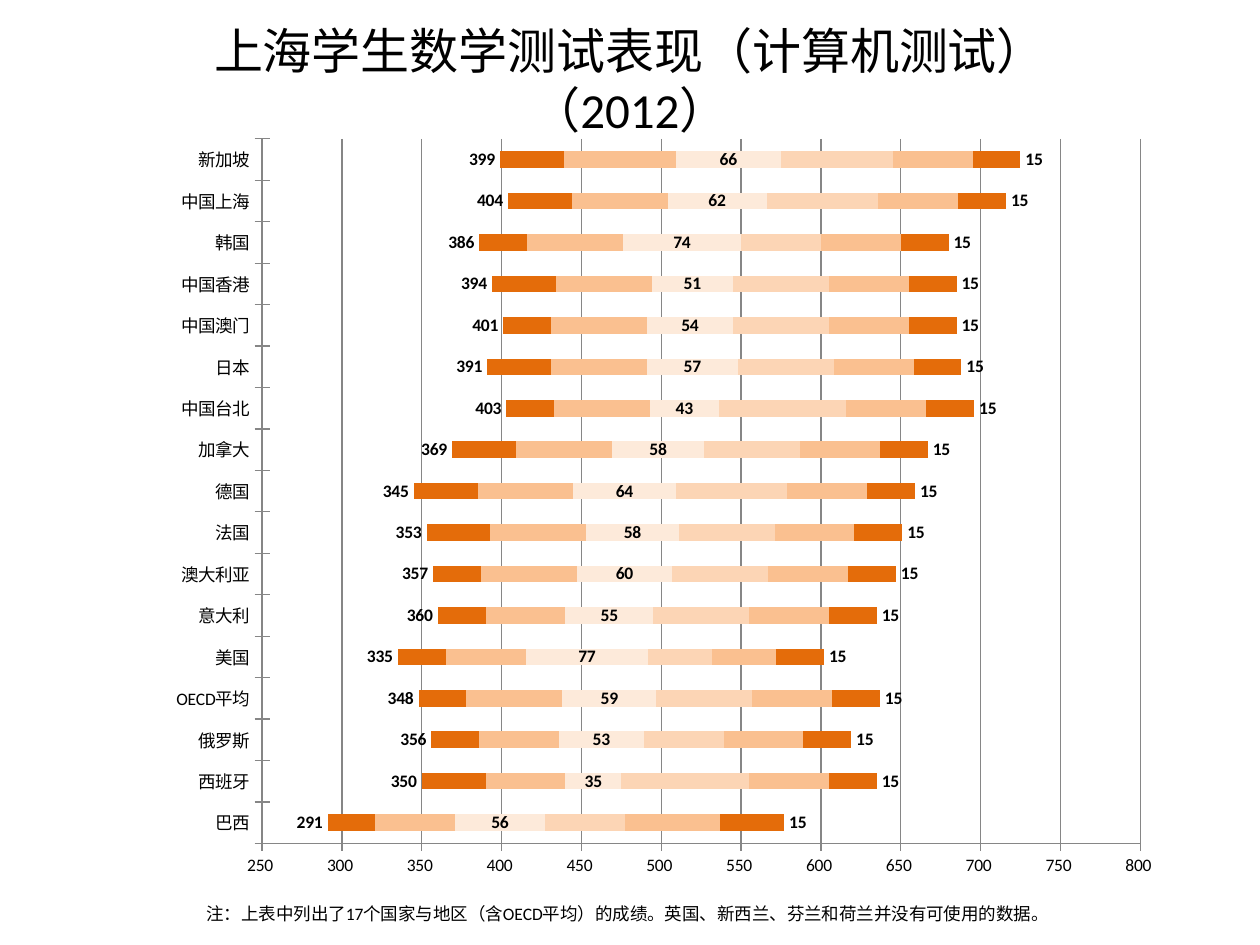
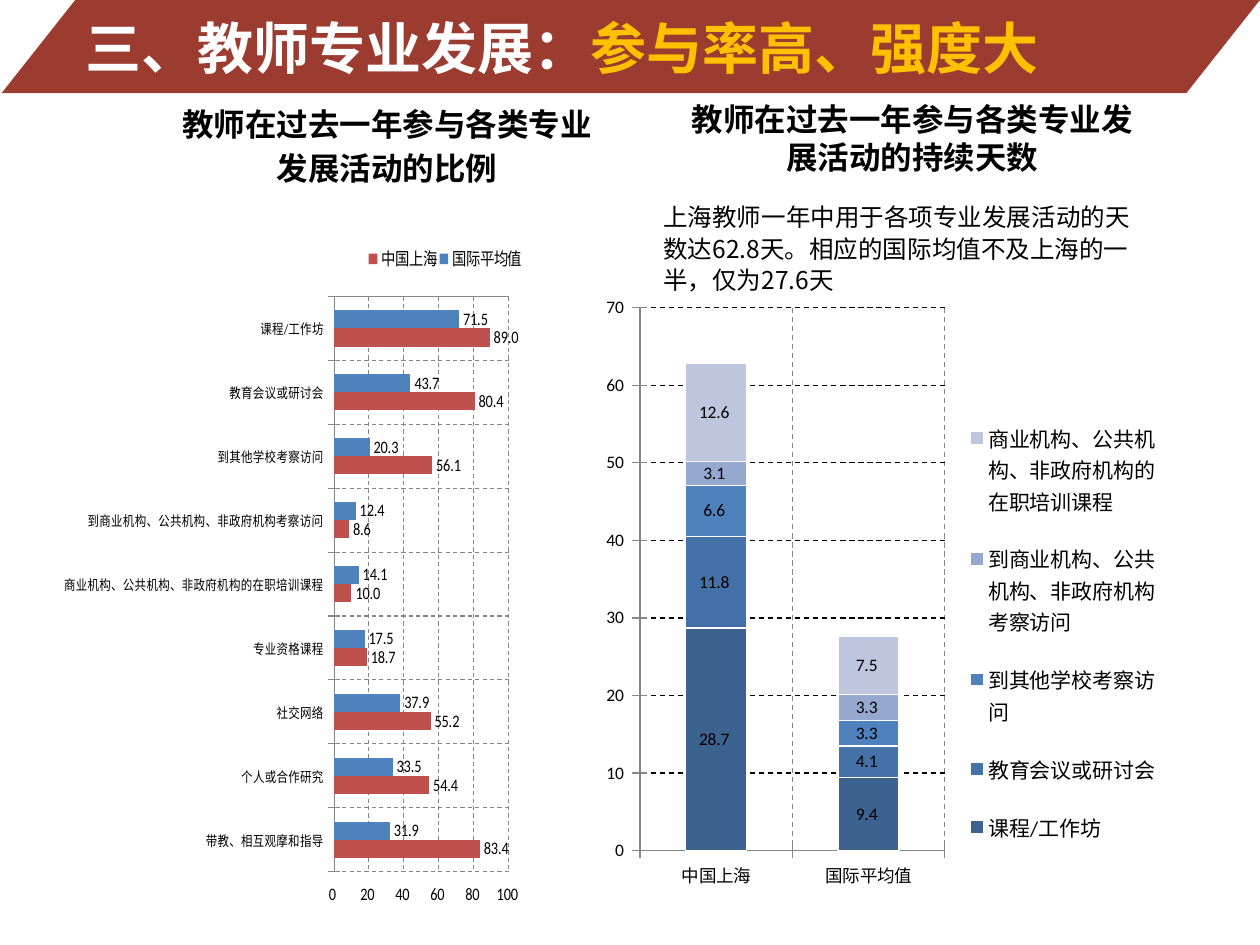
from dataclasses import dataclass
from typing import Optional

from lxml.etree import SubElement
from pptx import Presentation
from pptx.chart.data import CategoryChartData
from pptx.dml.color import RGBColor
from pptx.enum.chart import (XL_CHART_TYPE, XL_LABEL_POSITION, XL_LEGEND_POSITION,
                             XL_TICK_LABEL_POSITION, XL_TICK_MARK)
from pptx.enum.dml import MSO_LINE
from pptx.enum.shapes import MSO_SHAPE
from pptx.enum.text import MSO_ANCHOR, PP_ALIGN
from pptx.oxml.ns import qn
from pptx.util import Emu, Pt

PX_PER_INCH = 126
LATIN = "Calibri"
HAN = "Noto Sans CJK SC"

BLACK = RGBColor(0, 0, 0)
WHITE = RGBColor(255, 255, 255)
GREY = RGBColor(0x86, 0x86, 0x86)
BRICK = RGBColor(0x9C, 0x3B, 0x2F)
GOLD = RGBColor(0xFF, 0xC0, 0x00)
BLUE = RGBColor(0x4F, 0x81, 0xBD)
RED = RGBColor(0xC0, 0x50, 0x4D)
ORANGE = RGBColor(0xE4, 0x6C, 0x0A)
APRICOT = RGBColor(0xFA, 0xC0, 0x90)
PEACH = RGBColor(0xFC, 0xD5, 0xB5)
CREAM = RGBColor(0xFD, 0xEA, 0xDA)
NAVY = RGBColor(0x3C, 0x63, 0x90)
STEEL = RGBColor(0x44, 0x72, 0xA8)
MIST = RGBColor(0x95, 0xA9, 0xD0)
PALE = RGBColor(0xBD, 0xC6, 0xDE)


@dataclass(frozen=True)
class Box:
    left: int
    top: int
    width: int
    height: int

    def emu(self) -> list[Emu]:
        return [px(n) for n in (self.left, self.top, self.width, self.height)]


@dataclass(frozen=True)
class Measure:
    name: str
    values: tuple
    fill: Optional[RGBColor]
    labelled: bool = True
    position: Optional[XL_LABEL_POSITION] = None


@dataclass(frozen=True)
class Scale:
    low: int
    high: int
    step: int
    tick: XL_TICK_MARK = XL_TICK_MARK.CROSS
    labels: XL_TICK_LABEL_POSITION = XL_TICK_LABEL_POSITION.NEXT_TO_AXIS


@dataclass(frozen=True)
class Key:
    position: XL_LEGEND_POSITION
    size: int
    area: tuple


def px(count: int) -> Emu:
    return Emu(round(count * 914400 / PX_PER_INCH))


def add_text(slide, box: Box, text, *, size: int, font: str = HAN, color=BLACK,
             bold=False, align=PP_ALIGN.LEFT, anchor=MSO_ANCHOR.TOP, spacing=None):
    frame = slide.shapes.add_textbox(*box.emu()).text_frame
    frame.word_wrap = True
    frame.vertical_anchor = anchor
    paragraph = frame.paragraphs[0]
    paragraph.alignment = align
    if spacing:
        paragraph.line_spacing = Pt(spacing)
    parts = [(text, color)] if isinstance(text, str) else text
    for words, ink in parts:
        for index, line in enumerate(words.split("\n")):
            if index:
                paragraph.add_line_break()
            run = paragraph.add_run()
            run.text = line
            run.font.size = Pt(size)
            run.font.name = font
            run.font.bold = bold
            run.font.color.rgb = ink
            SubElement(run.font._element, qn("a:ea")).set("typeface", font)


def add_band(slide, box: Box, color: RGBColor):
    band = slide.shapes.add_shape(MSO_SHAPE.PARALLELOGRAM, *box.emu())
    band.adjustments[0] = 0.79
    band.shadow.inherit = False
    band.fill.solid()
    band.fill.fore_color.rgb = color
    band.line.fill.background()


def place(parent, index: int, area: tuple, inner: bool = False):
    for old in parent.findall(qn("c:layout")):
        parent.remove(old)
    layout = SubElement(parent, qn("c:layout"))
    parent.insert(index, layout)
    manual = SubElement(layout, qn("c:manualLayout"))
    settings = [("layoutTarget", "inner")] if inner else []
    settings += [("xMode", "edge"), ("yMode", "edge")]
    settings += zip("xywh", area)
    for tag, value in settings:
        SubElement(manual, qn(f"c:{tag}")).set("val", str(value))


def rule(line, color: RGBColor, dashed: bool = False):
    line.color.rgb = color
    line.width = Pt(0.75)
    if dashed:
        line.dash_style = MSO_LINE.DASH


def style_measure(series, measure: Measure, number_format: str, bold: bool, outline):
    series.invert_if_negative = False
    if measure.fill is None:
        series.format.fill.background()
    else:
        series.format.fill.solid()
        series.format.fill.fore_color.rgb = measure.fill
    if outline is None:
        series.format.line.fill.background()
    else:
        rule(series.format.line, outline)
    if measure.labelled:
        labels = series.data_labels
        labels.show_value = True
        labels.number_format = number_format
        labels.number_format_is_linked = False
        labels.font.size = Pt(10)
        labels.font.bold = bold
        labels.font.color.rgb = BLACK
        if measure.position is not None:
            labels.position = measure.position


def add_bars(slide, box: Box, kind, categories, measures: list[Measure], scale: Scale,
             area: tuple, *, number_format="0.0_ ", bold=False, outline=None, grid=GREY,
             dashed=True, key: Optional[Key] = None, category_size=10, reverse=False):
    data = CategoryChartData()
    data.categories = categories
    for measure in measures:
        data.add_series(measure.name, measure.values)
    chart = slide.shapes.add_chart(kind, *box.emu(), data).chart
    chart.has_title = False
    chart.font.name = LATIN
    chart.font.size = Pt(10)
    chart.font.color.rgb = BLACK
    plot = chart.plots[0]
    plot.vary_by_categories = False
    plot.gap_width = 150
    plot.overlap = 0 if kind == XL_CHART_TYPE.BAR_CLUSTERED else 100
    for series, measure in zip(plot.series, measures):
        style_measure(series, measure, number_format, bold, outline)

    groups, amounts = chart.category_axis, chart.value_axis
    for axis in (groups, amounts):
        axis.minor_tick_mark = XL_TICK_MARK.NONE
        rule(axis.format.line, GREY)
    groups.major_tick_mark = XL_TICK_MARK.CROSS
    groups.tick_labels.font.size = Pt(category_size)
    groups.reverse_order = reverse
    if dashed:
        groups.has_major_gridlines = True
        rule(groups.major_gridlines.format.line, GREY, True)
    amounts.minimum_scale = scale.low
    amounts.maximum_scale = scale.high
    amounts.major_unit = scale.step
    amounts.major_tick_mark = scale.tick
    amounts.tick_label_position = scale.labels
    amounts.tick_labels.number_format = "0_ "
    amounts.tick_labels.number_format_is_linked = False
    amounts.has_major_gridlines = True
    rule(amounts.major_gridlines.format.line, grid, dashed)

    place(chart.element.find(".//" + qn("c:plotArea")), 0, area, inner=True)
    chart.has_legend = key is not None
    if key:
        chart.legend.position = key.position
        chart.legend.include_in_layout = False
        chart.legend.font.size = Pt(key.size)
        place(chart.element.find(".//" + qn("c:legend")), 1, key.area)


def build_scores(slide):
    add_text(slide, Box(0, 0, 1260, 158), "上海学生数学测试表现（计算机测试）\n（2012）",
             size=28, font=LATIN, align=PP_ALIGN.CENTER, anchor=MSO_ANCHOR.MIDDLE)
    regions = ["巴西", "西班牙", "俄罗斯", "OECD平均", "美国", "意大利", "澳大利亚", "法国", "德国",
               "加拿大", "中国台北", "日本", "中国澳门", "中国香港", "韩国", "中国上海", "新加坡"]
    segments = [
        ((291, 350, 356, 348, 335, 360, 357, 353, 345, 369, 403, 391, 401, 394, 386, 404, 399),
         None, True, XL_LABEL_POSITION.INSIDE_END),
        ((30, 40, 30, 30, 30, 30, 30, 40, 40, 40, 30, 40, 30, 40, 30, 40, 40), ORANGE, False),
        ((50, 50, 50, 60, 50, 50, 60, 60, 60, 60, 60, 60, 60, 60, 60, 60, 70), APRICOT, False),
        ((56, 35, 53, 59, 77, 55, 60, 58, 64, 58, 43, 57, 54, 51, 74, 62, 66), CREAM, True),
        ((50, 80, 50, 60, 40, 60, 60, 60, 70, 60, 80, 60, 60, 60, 50, 70, 70), PEACH, False),
        ((60, 50, 50, 50, 40) + (50,) * 12, APRICOT, False),
        ((40,) + (30,) * 16, ORANGE, False),
        ((15,) * 17, None, True, XL_LABEL_POSITION.INSIDE_BASE),
    ]
    measures = [Measure(f"Series {n}", *segment) for n, segment in enumerate(segments, 1)]
    add_bars(slide, Box(94, 116, 1071, 790), XL_CHART_TYPE.BAR_STACKED, regions, measures,
             Scale(250, 800, 50), (0.157, 0.029, 0.82, 0.892),
             number_format="0", bold=True, dashed=False)
    add_text(slide, Box(194, 897, 992, 34),
             "注：上表中列出了17个国家与地区（含OECD平均）的成绩。英国、新西兰、芬兰和荷兰并没有可使用的数据。",
             size=10, font=LATIN, anchor=MSO_ANCHOR.MIDDLE)


def build_training(slide):
    workshop, seminar, school_visit = "课程/工作坊", "教育会议或研讨会", "到其他学校考察访问"
    agency_visit = "到商业机构、公共机构、非政府机构考察访问"
    agency_course = "商业机构、公共机构、非政府机构的在职培训课程"
    shanghai, average = "中国上海", "国际平均值"

    days = [Measure(workshop, (28.7, 9.4), NAVY),
            Measure(seminar, (11.8, 4.1), STEEL),
            Measure(school_visit, (6.6, 3.3), BLUE),
            Measure(agency_visit, (3.1, 3.3), MIST),
            Measure(agency_course, (12.6, 7.5), PALE)]
    add_bars(slide, Box(596, 285, 570, 615), XL_CHART_TYPE.COLUMN_STACKED,
             [shanghai, average], days, Scale(0, 70, 10), (0.077, 0.037, 0.535, 0.883),
             outline=WHITE, grid=BLACK,
             key=Key(XL_LEGEND_POSITION.RIGHT, 12, (0.65, 0.18, 0.34, 0.77)))

    add_band(slide, Box(-74, 0, 1334, 93), BRICK)
    add_text(slide, Box(73, 4, 1131, 86),
             [("三、教师专业发展：", WHITE), ("参与率高、强度大", GOLD)],
             size=32, bold=True, anchor=MSO_ANCHOR.MIDDLE)
    for box, heading, spacing in (
            (Box(164, 93, 446, 101), "教师在过去一年参与各类专业发展活动的比例", 25),
            (Box(669, 93, 486, 89), "教师在过去一年参与各类专业发展活动的持续天数", 22)):
        add_text(slide, box, heading, size=18, bold=True, align=PP_ALIGN.CENTER, spacing=spacing)
    add_text(slide, Box(651, 194, 505, 108),
             "上海教师一年中用于各项专业发展活动的天数达62.8天。相应的国际均值不及上海的一半，仅为27.6天",
             size=14, spacing=18)
    add_band(slide, Box(-113, 0, 188, 93), WHITE)

    activities = [workshop, seminar, school_visit, agency_visit, agency_course,
                  "专业资格课程", "社交网络", "个人或合作研究", "带教、相互观摩和指导"]
    rates = [Measure(average, (71.5, 43.7, 20.3, 12.4, 14.1, 17.5, 37.9, 33.5, 31.9), BLUE),
             Measure(shanghai, (89, 80.4, 56.1, 8.6, 10, 18.7, 55.2, 54.4, 83.4), RED)]
    add_bars(slide, Box(64, 224, 567, 696), XL_CHART_TYPE.BAR_CLUSTERED, activities, rates,
             Scale(0, 100, 20, XL_TICK_MARK.NONE, XL_TICK_LABEL_POSITION.HIGH),
             (0.36, 0.104, 0.377, 0.827), category_size=8, reverse=True,
             key=Key(XL_LEGEND_POSITION.TOP, 10, (0.43, 0.03, 0.34, 0.04)))


def main():
    deck = Presentation()
    deck.slide_width, deck.slide_height = px(1260), px(945)
    for build in (build_scores, build_training):
        build(deck.slides.add_slide(deck.slide_layouts[6]))
    deck.save("out.pptx")


if __name__ == "__main__":
    main()
